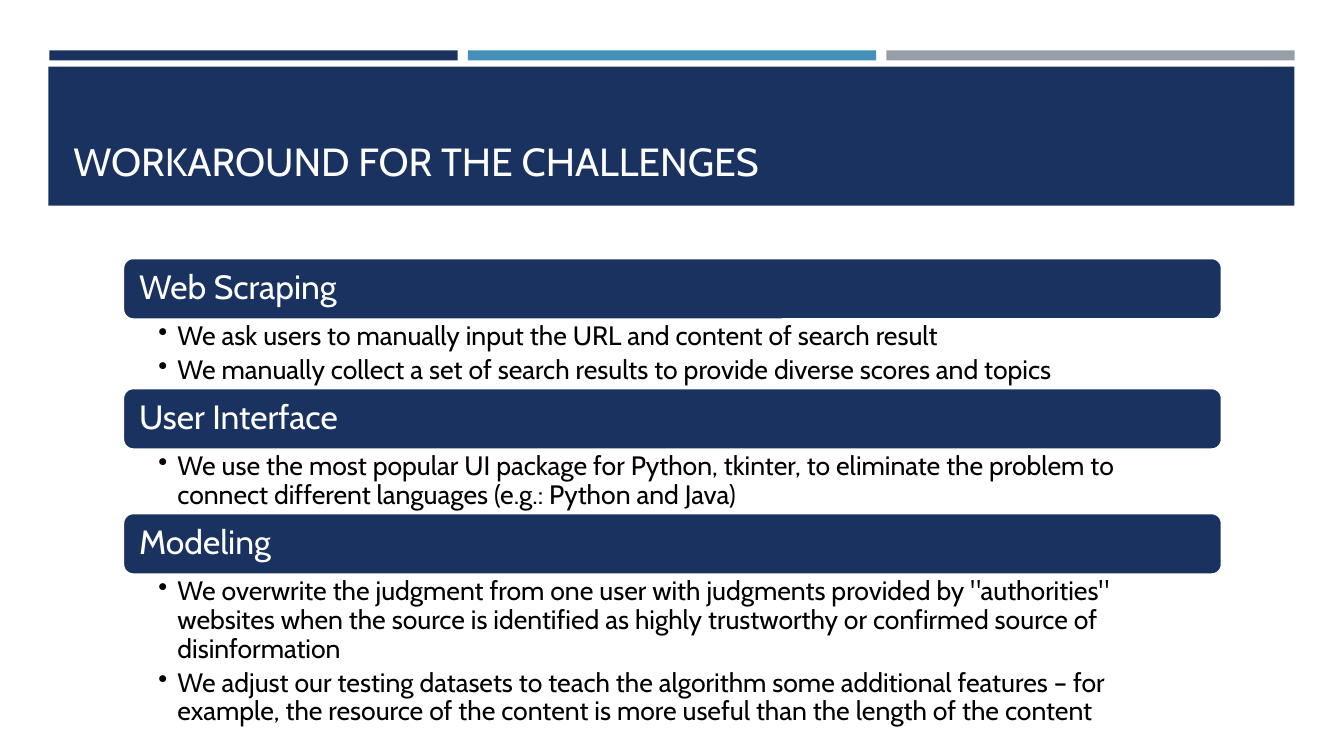
from lxml import etree
from pptx import Presentation, util as u
from pptx.dml.color import RGBColor
from pptx.enum import shapes, text
from pptx.oxml.ns import qn

# Content
TITLE = "WORKAROUND FOR THE CHALLENGES"
TOPICS = [  # heading, height of the list below it, points
    ("Web Scraping", 68, [
        "We ask users to manually input the URL and content of search result",
        "We manually collect a set of search results to provide diverse scores and topics",
    ]),
    ("User Interface", 63, [
        "We use the most popular UI package for Python, tkinter, to eliminate the "
        "problem to connect different languages (e.g.: Python and Java)",
    ]),
    ("Modeling", 125, [
        "We overwrite the judgment from one user with judgments provided by "
        "\"authorities\" websites when the source is identified as highly "
        "trustworthy or confirmed source of disinformation",
        "We adjust our testing datasets to teach the algorithm some additional "
        "features – for example, the resource of the content is more useful than "
        "the length of the content",
    ]),
]
COLORS = {"navy": "1A3260", "blue": "4590B8", "gray": "969FA7",
          "white": "FFFFFF", "black": "000000"}
FONT = "Cabin"
BOX = shapes.MSO_SHAPE
ANCHOR = text.MSO_ANCHOR


def px(n):
    return u.Emu(n * 9144)  # 100 px to the inch


def rgb(name):
    return RGBColor.from_string(COLORS[name])


prs = Presentation()
prs.slide_width, prs.slide_height = px(1333), px(750)
slide = prs.slides.add_slide(prs.slide_layouts[6])


def add_bar(kind, area, color):
    bar = slide.shapes.add_shape(kind, *map(px, area))
    bar.shadow.inherit = False
    bar.fill.solid()
    bar.fill.fore_color.rgb = rgb(color)
    bar.line.fill.background()
    return bar


def set_text(shape, lines, size, color, pads, anchor, after=0, space=1.0):
    frame = shape.text_frame
    frame.word_wrap = True
    frame.vertical_anchor = anchor
    (frame.margin_left, frame.margin_top,
     frame.margin_right, frame.margin_bottom) = map(px, pads)
    frame.text = "\n".join(lines)
    for para in frame.paragraphs:
        para.alignment = text.PP_ALIGN.LEFT
        para.line_spacing = space
        para.space_after = u.Pt(after)
        font = para.runs[0].font
        font.name, font.size, font.color.rgb = FONT, u.Pt(size), rgb(color)
    return frame


def add_bullets(frame, hang):
    for para in frame.paragraphs:
        props = para._p.get_or_add_pPr()
        props.set("marL", str(px(hang)))
        props.set("indent", str(px(-hang)))
        etree.SubElement(props, qn("a:buChar")).set("char", "•")


# Header: three strips above a title band
for i, color in enumerate(("navy", "blue", "gray")):
    add_bar(BOX.RECTANGLE, (49 + 415 * i, 50, 405, 10), color)
add_bar(BOX.RECTANGLE, (48, 66, 1236, 138), "navy")
title = slide.shapes.add_textbox(*map(px, (63, 80, 1206, 108)))
set_text(title, [TITLE], 28, "white", (10, 5, 10, 5), ANCHOR.BOTTOM)

# Topics: each heading bar is followed by its list
LEFT, WIDTH, HEAD = 122, 1090, 61
top = 256
for name, height, points in TOPICS:
    head = add_bar(BOX.ROUNDED_RECTANGLE, (LEFT, top, WIDTH, HEAD), "navy")
    head.line.color.rgb = rgb("white")
    head.line.width = u.Pt(1.75)
    set_text(head, [name], 24, "white", (13, 10, 13, 10), ANCHOR.MIDDLE, space=0.9)
    top += HEAD
    body = slide.shapes.add_textbox(*map(px, (LEFT, top, WIDTH, height)))
    frame = set_text(body, points, 19, "black", (35, 3, 19, 3), ANCHOR.TOP,
                     after=3.8, space=0.9)
    add_bullets(frame, 19)
    top += height

prs.save("out.pptx")
